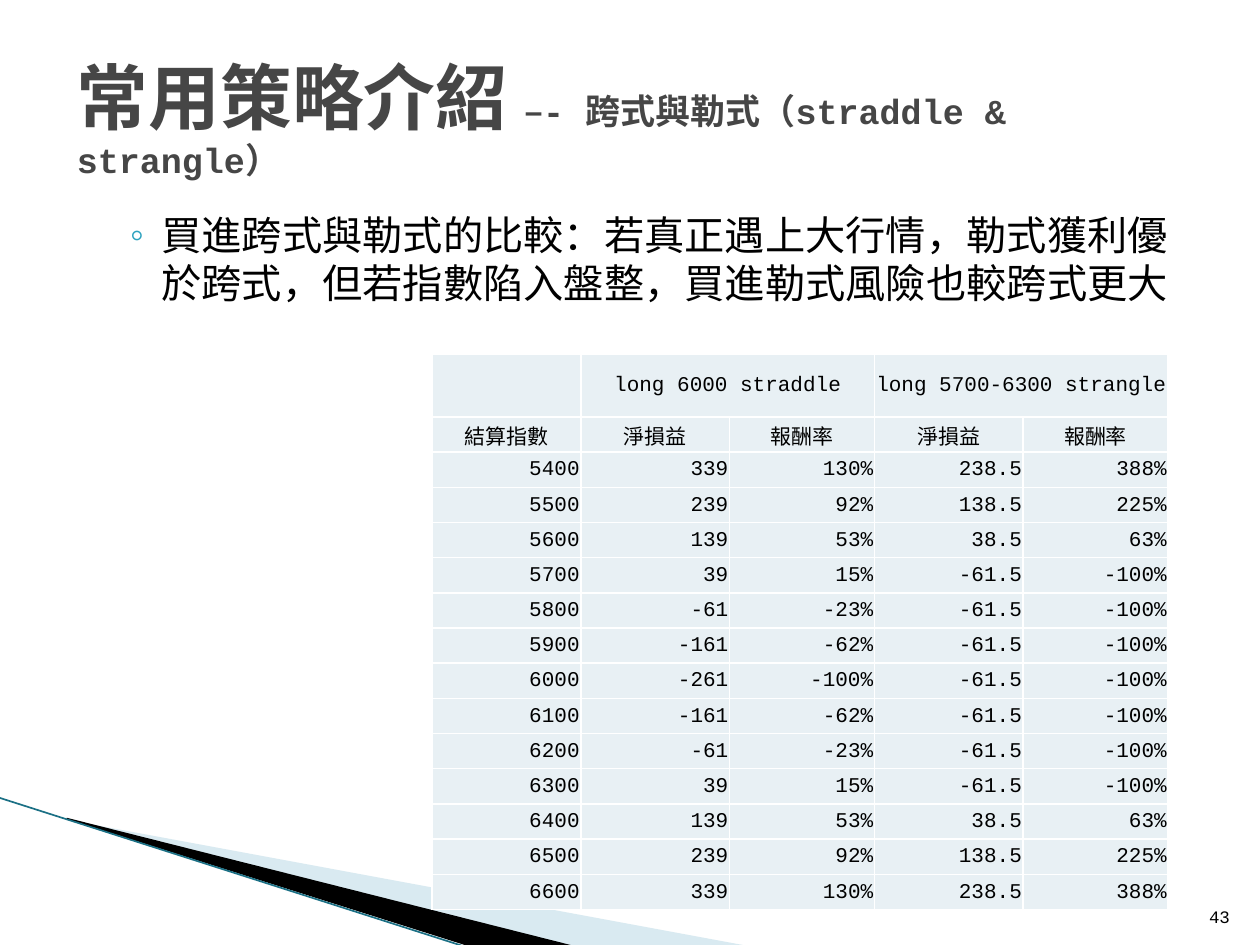
from lxml.etree import SubElement
from pptx import Presentation
from pptx.dml.color import RGBColor
from pptx.enum.shapes import MSO_CONNECTOR as Connector
from pptx.enum.text import MSO_ANCHOR as Anchor, MSO_AUTO_SIZE as AutoSize, PP_ALIGN as Align
from pptx.oxml.ns import qn
from pptx.util import Inches, Pt

FONT = "Courier New"
BLACK = "000000"
TITLE_GREY = "464646"
CELL_FILL = "E8F0F4"
COLUMN_WIDTHS = [1.18, 1.18, 1.15, 1.18, 1.15]
HEADER_HEIGHT = 0.5
GROUPS = ["", "long 6000 straddle", "", "long 5700-6300 strangle", ""]
LABELS = ["結算指數", "淨損益", "報酬率", "淨損益", "報酬率"]
RESULTS = [
    ["5400", "339", "130%", "238.5", "388%"],
    ["5500", "239", "92%", "138.5", "225%"],
    ["5600", "139", "53%", "38.5", "63%"],
    ["5700", "39", "15%", "-61.5", "-100%"],
    ["5800", "-61", "-23%", "-61.5", "-100%"],
    ["5900", "-161", "-62%", "-61.5", "-100%"],
    ["6000", "-261", "-100%", "-61.5", "-100%"],
    ["6100", "-161", "-62%", "-61.5", "-100%"],
    ["6200", "-61", "-23%", "-61.5", "-100%"],
    ["6300", "39", "15%", "-61.5", "-100%"],
    ["6400", "139", "53%", "38.5", "63%"],
    ["6500", "239", "92%", "138.5", "225%"],
    ["6600", "339", "130%", "238.5", "388%"],
]


def color(value):
    return RGBColor.from_string(value)


def place(shape, box):
    shape.left, shape.top, shape.width, shape.height = map(Inches, box)


def add_text(paragraph, text, size, hex_color=BLACK, bold=False):
    run = paragraph.add_run()
    run.text = text
    run.font.name = FONT
    run.font.size = Pt(size)
    run.font.bold = bold
    run.font.color.rgb = color(hex_color)


def add_wedge(slide, box, corners, hex_color, opacity=None):
    left, top, width, height = box
    points = [(Inches(left + x * width), Inches(top + y * height)) for x, y in corners]
    builder = slide.shapes.build_freeform(*points[0])
    builder.add_line_segments(points[1:], close=True)
    shape = builder.convert_to_shape()
    shape.shadow.inherit = False
    shape.fill.solid()
    shape.fill.fore_color.rgb = color(hex_color)
    shape.line.fill.background()
    if opacity:
        fill_color = shape.fill._xPr.find(qn("a:solidFill"))[0]
        SubElement(fill_color, qn("a:alpha"), val=str(opacity * 1000))


def add_corner_decoration(slide, box):
    left, top, width, height = box
    add_wedge(slide, (left + 0.56, top + 0.17, 5.4, 1.01),
              [(0, 0.01), (1, 1), (0.74, 1), (0, 0)], "A0CBDC", 40)
    add_wedge(slide, (left + 0.54, top + 0.16, 4.04, 1.02),
              [(0, 0), (1, 1), (0.79, 1), (0, 0.01)], BLACK)
    line = slide.shapes.add_connector(
        Connector.STRAIGHT, Inches(left), Inches(top),
        Inches(left + width), Inches(top + height))
    line.line.color.rgb = color("1B7085")
    line.line.width = Pt(0.95)
    SubElement(line._element.spPr, qn("a:effectLst"))


def fill_title(slide, box):
    title = slide.shapes.title
    place(title, box)
    frame = title.text_frame
    frame.auto_size = AutoSize.NONE
    frame.vertical_anchor = Anchor.MIDDLE
    paragraph = frame.paragraphs[0]
    paragraph.alignment = Align.LEFT
    add_text(paragraph, "常用策略介紹 ", 41, TITLE_GREY, True)
    add_text(paragraph, "–- 跨式與勒式（straddle & strangle）", 20, TITLE_GREY, True)


def fill_body(slide, box):
    body = slide.placeholders[1]
    place(body, box)
    body.text_frame.auto_size = AutoSize.NONE
    paragraph = body.text_frame.paragraphs[0]
    paragraph.level = 1
    properties = paragraph._p.get_or_add_pPr()
    properties.set("marL", str(Inches(0.68)))
    properties.set("indent", str(Inches(-0.25)))
    bullet_color = SubElement(properties, qn("a:buClr"))
    SubElement(bullet_color, qn("a:srgbClr"), val="2DA2BF")
    SubElement(properties, qn("a:buChar"), char="◦")
    paragraph.space_before = Pt(0)
    add_text(paragraph, "買進跨式與勒式的比較：若真正遇上大行情，勒式獲利優"
             "於跨式，但若指數陷入盤整，買進勒式風險也較跨式更大", 23)


def format_cell(cell, text, alignment):
    cell.margin_left = cell.margin_right = cell.margin_top = Inches(0.01)
    cell.margin_bottom = 0
    cell.vertical_anchor = Anchor.MIDDLE
    properties = cell._tc.get_or_add_tcPr()
    for side in ("lnL", "lnR", "lnT", "lnB"):
        border = SubElement(properties, qn(f"a:{side}"), w=str(Pt(1)))
        border_fill = SubElement(border, qn("a:solidFill"))
        SubElement(border_fill, qn("a:srgbClr"), val="FFFFFF")
    cell.fill.solid()
    cell.fill.fore_color.rgb = color(CELL_FILL)
    if text:
        paragraph = cell.text_frame.paragraphs[0]
        paragraph.alignment = alignment
        add_text(paragraph, text, 12)


def add_results_table(slide, box):
    rows = [GROUPS, LABELS, *RESULTS]
    table = slide.shapes.add_table(len(rows), len(LABELS), *map(Inches, box)).table
    table.first_row = table.horz_banding = False
    for column, width in zip(table.columns, COLUMN_WIDTHS):
        column.width = Inches(width)
    row_height = (box[3] - HEADER_HEIGHT) / (len(rows) - 1)
    for row_index, values in enumerate(rows):
        table.rows[row_index].height = Inches(row_height if row_index else HEADER_HEIGHT)
        alignment = Align.CENTER if row_index < 2 else Align.RIGHT
        for column_index, text in enumerate(values):
            format_cell(table.cell(row_index, column_index), text, alignment)
    for first in (1, 3):
        table.cell(0, first).merge(table.cell(0, first + 1))


def add_page_number(slide, box):
    frame = slide.shapes.add_textbox(*map(Inches, box)).text_frame
    frame.word_wrap = True
    frame.vertical_anchor = Anchor.BOTTOM
    frame.paragraphs[0].alignment = Align.RIGHT
    add_text(frame.paragraphs[0], "43", 10)


def main():
    presentation = Presentation()
    presentation.slide_width = Inches(10)
    presentation.slide_height = Inches(7.5)
    slide = presentation.slides.add_slide(presentation.slide_layouts[1])
    add_corner_decoration(slide, (-0.01, 6.33, 3.72, 1.19))
    fill_body(slide, (0.5, 1.62, 9, 4.95))
    fill_title(slide, (0.51, 0.3, 9, 1.25))
    add_results_table(slide, (3.43, 2.81, 5.82, 4.41))
    add_page_number(slide, (9.46, 7.01, 0.4, 0.4))
    presentation.save("out.pptx")


if __name__ == "__main__":
    main()
